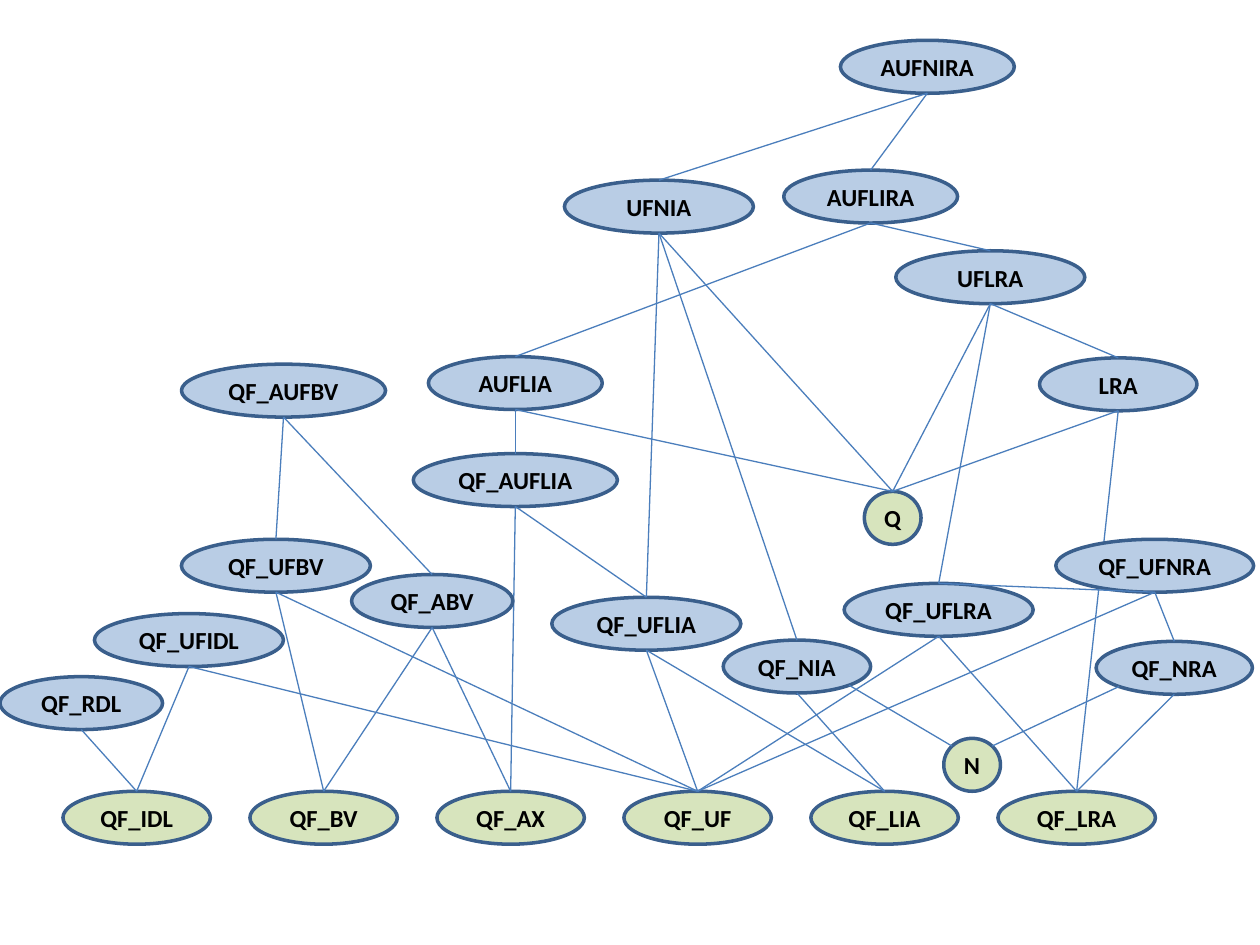
import math

import pptx
import pptx.dml.color
import pptx.enum.shapes
import pptx.enum.text
import pptx.util
from lxml import etree
from pptx.oxml.ns import qn

Inches = pptx.util.Inches
Pt = pptx.util.Pt

BLUE, GREEN = "B9CDE5", "D7E4BD"
NODE_HEIGHT = 0.42
BASE_TOP, BASE_LEFT, BASE_STEP = 6.28, 0.5, 1.484

# Connection sites of an ellipse run anticlockwise from the top in eighths
TOP, TOP_LEFT, BOTTOM_LEFT, BOTTOM, BOTTOM_RIGHT, TOP_RIGHT = 0, 1, 3, 4, 5, 7

# Nodes: name, left, top, width, fill
BASE_LOGICS = [
    (name, BASE_LEFT + column * BASE_STEP, BASE_TOP, width, GREEN)
    for column, (name, width) in enumerate([
        ("QF_IDL", 1.17), ("QF_BV", 1.17), ("QF_AX", 1.17),
        ("QF_UF", 1.17), ("QF_LIA", 1.17), ("QF_LRA", 1.25),
    ])
]
BACK_LOGICS = BASE_LOGICS + [
    ("AUFNIRA", 6.67, 0.32, 1.38, BLUE),
    ("AUFLIRA", 6.22, 1.35, 1.38, BLUE),
    ("UFNIA", 4.48, 1.43, 1.5, BLUE),
    ("UFLRA", 7.11, 1.99, 1.5, BLUE),
    ("AUFLIA", 3.4, 2.83, 1.38, BLUE),
    ("LRA", 8.25, 2.84, 1.25, BLUE),
    ("QF_AUFBV", 1.44, 2.89, 1.62, BLUE),
    ("QF_AUFLIA", 3.28, 3.6, 1.62, BLUE),
    ("Q", 6.86, 3.9, 0.45, GREEN),
    ("QF_UFBV", 1.44, 4.28, 1.5, BLUE),
    ("QF_UFLRA", 6.7, 4.63, 1.5, BLUE),
    ("QF_UFLIA", 4.38, 4.74, 1.5, BLUE),
    ("QF_UFIDL", 0.75, 4.87, 1.5, BLUE),
    ("QF_NRA", 8.7, 5.09, 1.24, BLUE),
    ("QF_RDL", 0, 5.37, 1.29, BLUE),
    ("N", 7.49, 5.86, 0.45, GREEN),
]
# These cover the lines that pass behind them
FRONT_LOGICS = [
    ("QF_NIA", 5.74, 5.08, 1.17, BLUE),
    ("QF_UFNRA", 8.38, 4.28, 1.57, BLUE),
    ("QF_ABV", 2.79, 4.56, 1.28, BLUE),
]

# Each logic and the smaller logics it contains
BACK_LINKS = {
    "AUFNIRA": ["UFNIA", "AUFLIRA"],
    "AUFLIRA": ["AUFLIA", "UFLRA"],
    "UFNIA": ["Q", "QF_UFLIA"],
    "UFLRA": ["LRA", "QF_UFLRA", "Q"],
    "AUFLIA": ["QF_AUFLIA", "Q"],
    "LRA": ["QF_LRA", "Q"],
    "QF_AUFBV": ["QF_UFBV"],
    "QF_AUFLIA": ["QF_UFLIA", "QF_AX"],
    "QF_UFBV": ["QF_UF", "QF_BV"],
    "QF_UFLRA": ["QF_UF", "QF_LRA"],
    "QF_UFLIA": ["QF_UF", "QF_LIA"],
    "QF_UFIDL": ["QF_UF", "QF_IDL"],
    "QF_NRA": ["QF_LRA"],
    "QF_RDL": ["QF_IDL"],
}
FRONT_LINKS = {
    "UFNIA": ["QF_NIA"],
    "QF_NIA": ["QF_LIA"],
    "QF_UFNRA": ["QF_UFLRA", "QF_NRA", "QF_UF"],
    "QF_AUFBV": ["QF_ABV"],
    "QF_ABV": ["QF_BV", "QF_AX"],
}


def color(value):
    return pptx.dml.color.RGBColor.from_string(value)


def write_text(shape, text, size=14, font="Calibri", fill="000000", bold=True):
    frame = shape.text_frame
    frame.word_wrap = False
    frame.vertical_anchor = pptx.enum.text.MSO_ANCHOR.MIDDLE
    frame.margin_left = frame.margin_right = 0
    frame.margin_top = frame.margin_bottom = 0
    para = frame.paragraphs[0]
    para.alignment = pptx.enum.text.PP_ALIGN.CENTER
    span = para.add_run()
    span.text = text
    span.font.name = font
    span.font.size = Pt(size)
    span.font.bold = bold
    span.font.color.rgb = color(fill)


def site_point(shape, site):
    angle = math.radians(90 + 45 * site)
    x = shape.left + shape.width / 2 * (1 + math.cos(angle))
    y = shape.top + shape.height / 2 * (1 - math.sin(angle))
    return round(x), round(y)


class Diagram:
    outline, outline_width = "3A5F8C", 2
    link_color, link_width = "4B7EBC", 0.75

    def __init__(self, page):
        self.page = page
        self.nodes = {}

    def node(self, name, left, top, width, fill):
        shape = self.page.shapes.add_shape(
            pptx.enum.shapes.MSO_SHAPE.OVAL,
            Inches(left), Inches(top), Inches(width), Inches(NODE_HEIGHT))
        shape.shadow.inherit = False
        shape.fill.solid()
        shape.fill.fore_color.rgb = color(fill)
        shape.line.color.rgb = color(self.outline)
        shape.line.width = Pt(self.outline_width)
        write_text(shape, name)
        self.nodes[name] = shape

    def link(self, upper, lower, start=BOTTOM, end=TOP):
        ends = [(self.nodes[upper], start), (self.nodes[lower], end)]
        line = self.page.shapes.add_connector(
            pptx.enum.shapes.MSO_CONNECTOR.STRAIGHT,
            *site_point(*ends[0]), *site_point(*ends[1]))
        line.line.color.rgb = color(self.link_color)
        line.line.width = Pt(self.link_width)
        etree.SubElement(line._element.spPr, qn("a:effectLst"))
        # begin_connect knows only four sites, an ellipse has eight
        joints = line._element.find(".//" + qn("p:cNvCxnSpPr"))
        for tag, (shape, site) in zip(("a:stCxn", "a:endCxn"), ends):
            etree.SubElement(joints, qn(tag), id=str(shape.shape_id), idx=str(site))

    def layer(self, logics, links):
        for logic in logics:
            self.node(*logic)
        for upper, lowers in links.items():
            for lower in lowers:
                self.link(upper, lower)


def main():
    deck = pptx.Presentation()
    deck.slide_width, deck.slide_height = Inches(10), Inches(7.5)
    diagram = Diagram(deck.slides.add_slide(deck.slide_layouts[6]))

    # Hierarchy of logics
    diagram.layer(BACK_LOGICS, BACK_LINKS)
    diagram.layer(FRONT_LOGICS, FRONT_LINKS)

    # Slanted links into N
    diagram.link("QF_NIA", "N", BOTTOM_RIGHT, TOP_LEFT)
    diagram.link("QF_NRA", "N", BOTTOM_LEFT, TOP_RIGHT)

    deck.save("out.pptx")


if __name__ == "__main__":
    main()
